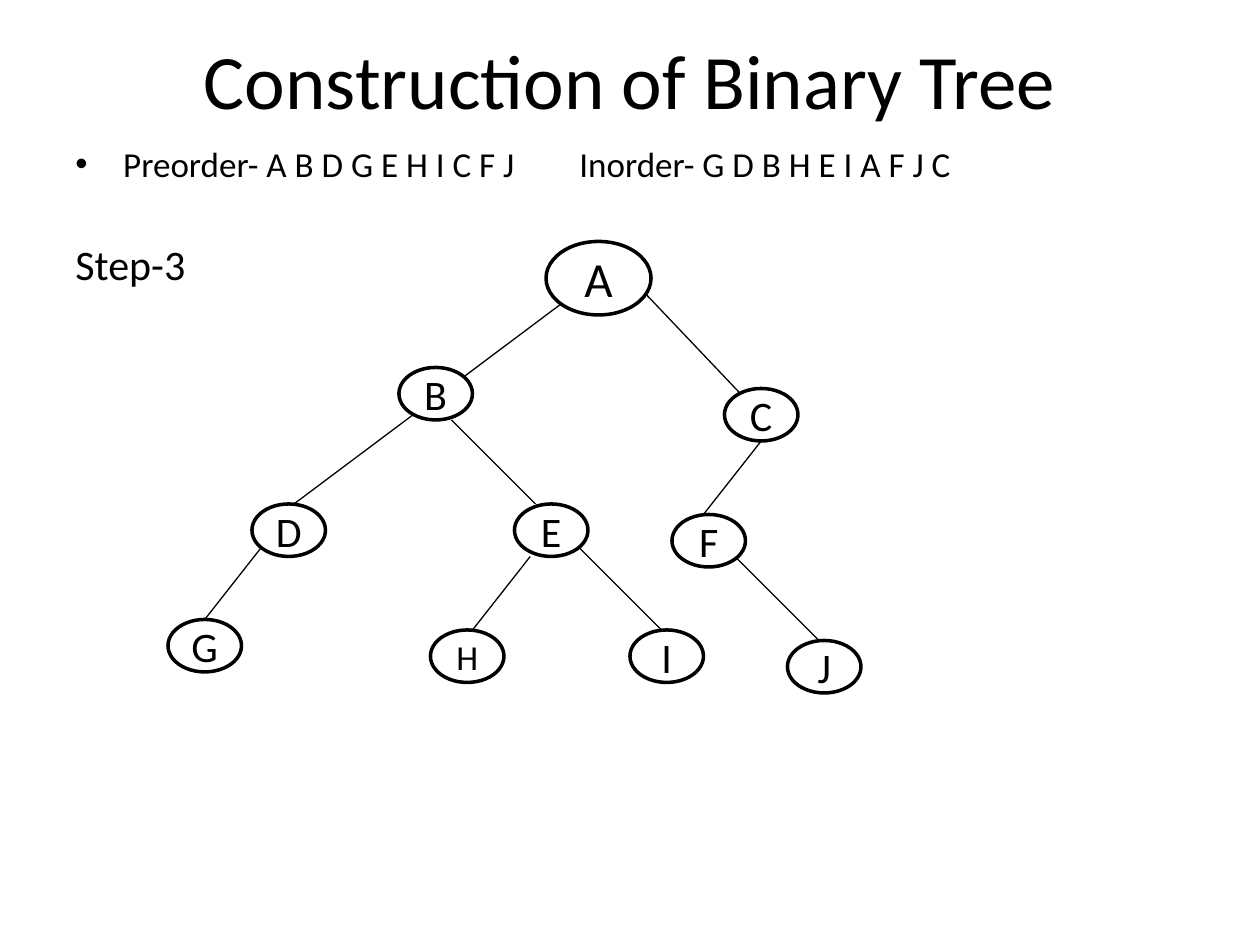
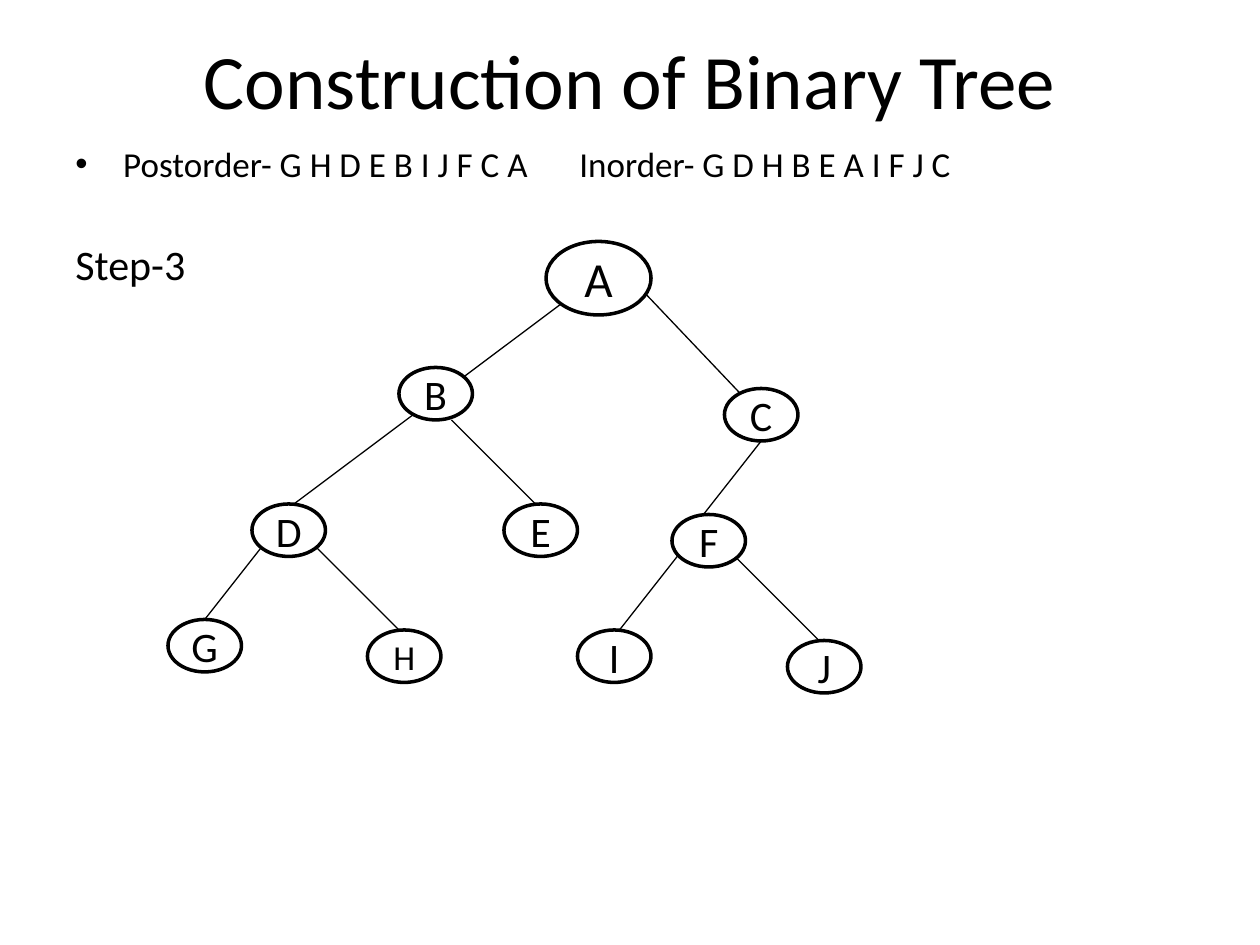
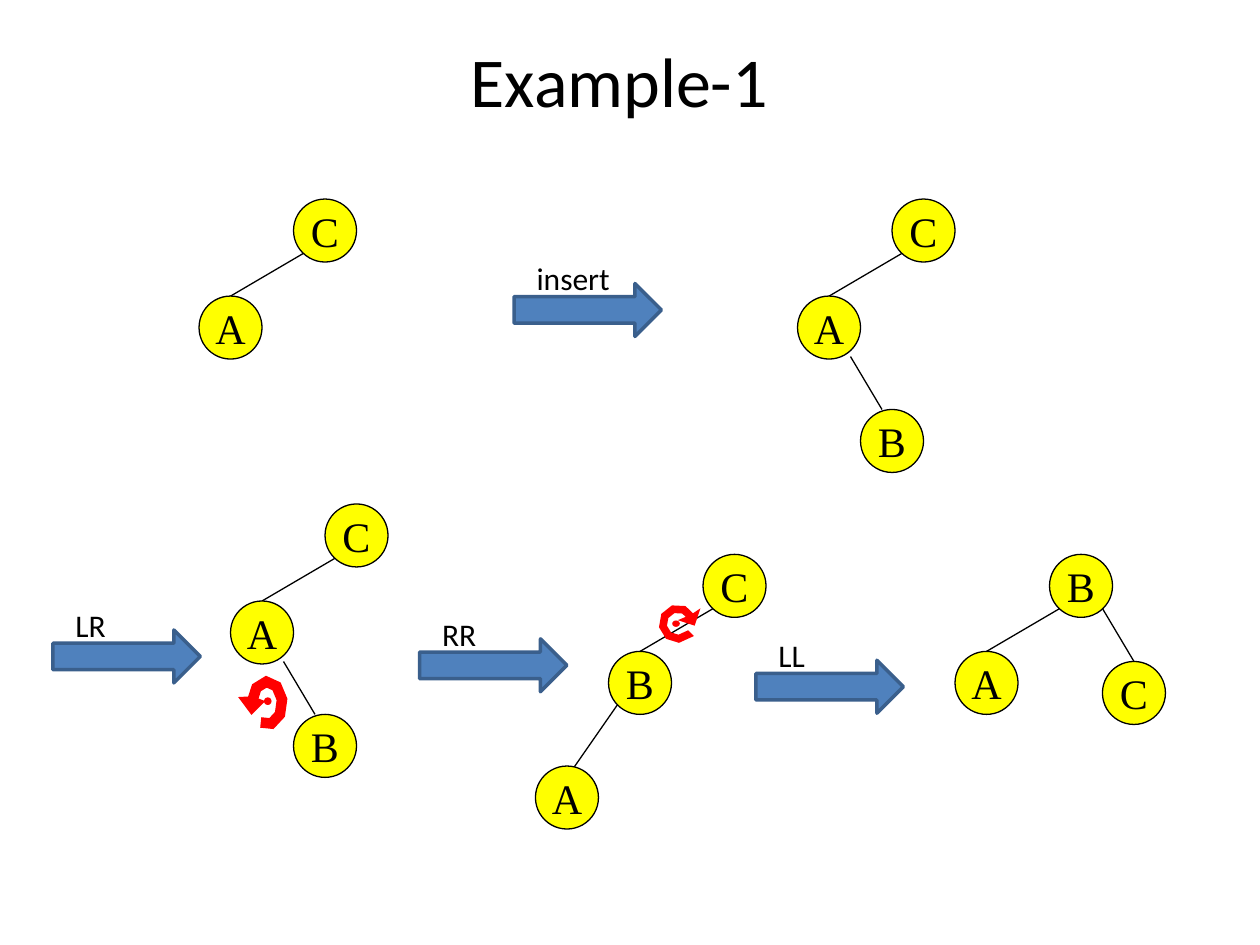
from math import cos, sin, radians
from lxml.etree import SubElement
from pptx import Presentation
from pptx.dml.color import RGBColor
from pptx.enum.shapes import MSO_CONNECTOR as Link, MSO_SHAPE as Form
from pptx.enum.text import MSO_ANCHOR as Anchor, MSO_AUTO_SIZE as Auto, PP_ALIGN as Align
from pptx.oxml.ns import qn
from pptx.util import Inches, Pt

# Shared style
BLACK, WHITE, YELLOW, RED = "000000", "FFFFFF", "FFFF00", "FF0000"
BLUE, NAVY = "4F81BD", "3A5F8C"
SANS, SERIF = "Calibri", "Times New Roman"
UNIT = 1 / 12  # grid step of the large trees, in inches

# Large trees: letter -> (column, row), and lines between grid points
NODES = {"A": (36, 0), "B": (22, 12), "C": (53, 14), "D": (8, 25),
         "F": (48, 26), "G": (0, 36), "J": (59, 38)}
EDGES = [(37.5, 5.9, 12, 25), (45.5, 5, 55, 15), (27, 17, 35, 25),
         (56.5, 19, 51, 26), (9, 29, 3.5, 36), (54, 30, 62, 38)]

# Small trees: offsets from the parent of the child, line start and line end
STEPS = {"left": ((-0.75, 0.77), (0.08, 0.43), (-0.5, 0.77)),
         "steep": ((-0.58, 0.91), (0.08, 0.41), (-0.33, 1)),
         "right": ((0.5, 0.9), (0.42, 0.48), (0.67, 0.9)),
         "near": ((0.42, 0.85), (0.42, 0.43), (0.67, 0.85))}


def color(code):
    return RGBColor.from_string(code)


def place(box):
    return [Inches(n) for n in box]


def paint(shape, fill, line, width):
    shape.shadow.inherit = False
    if fill:
        shape.fill.solid()
        shape.fill.fore_color.rgb = color(fill)
    else:
        shape.fill.background()
    shape.line.color.rgb = color(line)
    shape.line.width = Pt(width)


def write(shape, text, size=24, font=SANS, align=Align.LEFT,
          anchor=Anchor.TOP, wrap=False, grow=False, bullet=False):
    frame = shape.text_frame
    frame.word_wrap = wrap
    frame.vertical_anchor = anchor
    frame.auto_size = Auto.SHAPE_TO_FIT_TEXT if grow else Auto.NONE
    para = frame.paragraphs[0]
    para.alignment = align
    if bullet:
        props = para._p.get_or_add_pPr()
        props.set("marL", str(Inches(0.38)))
        props.set("indent", str(-Inches(0.38)))
        SubElement(props, qn("a:buFont")).set("typeface", "Arial")
        SubElement(props, qn("a:buChar")).set("char", "•")
    run = para.add_run()
    run.text = text
    run.font.size = Pt(size)
    run.font.name = font
    run.font.color.rgb = color(BLACK)


def label(slide, box, text, **style):
    write(slide.shapes.add_textbox(*place(box)), text, **style)


def join(slide, x1, y1, x2, y2):
    line = slide.shapes.add_connector(Link.STRAIGHT, *place((x1, y1, x2, y2)))
    line.line.color.rgb = color(BLACK)
    line.line.width = Pt(0.75)
    SubElement(line._element.spPr, qn("a:effectLst"))


def node(slide, box, text, fill, width, **style):
    oval = slide.shapes.add_shape(Form.OVAL, *place(box))
    paint(oval, fill, BLACK, width)
    write(oval, text, align=Align.CENTER, anchor=Anchor.MIDDLE, **style)


def start(deck, text, box, size):
    slide = deck.slides.add_slide(deck.slide_layouts[5])
    title = slide.shapes.title
    title.left, title.top, title.width, title.height = place(box)
    write(title, text, size=size, align=Align.CENTER,
          anchor=Anchor.MIDDLE, wrap=True)
    return slide


# Large tree on a grid that starts at left, top
def grow_tree(slide, left, top, nodes, edges):
    for x1, y1, x2, y2 in edges:
        join(slide, left + x1 * UNIT, top + y1 * UNIT,
             left + x2 * UNIT, top + y2 * UNIT)
    for text, (col, row) in nodes.items():
        root = text == "A"
        wide, high = (10, 7) if root else (7, 5)
        box = (left + col * UNIT, top + row * UNIT, wide * UNIT, high * UNIT)
        node(slide, box, text, None if root else WHITE, 2,
             size={"A": 28, "H": 20}.get(text, 24))


def build_slide(deck, orders, nodes, edges):
    slide = start(deck, "Construction of Binary Tree", (0.5, 0, 9, 1.25), 44)
    label(slide, (0.5, 1.08, 9, 0.58), orders, size=20, wrap=True, bullet=True)
    label(slide, (0.5, 1.84, 1.08, 0.5), "Step-3", grow=True)
    grow_tree(slide, 16 * UNIT, 23 * UNIT, NODES | nodes, EDGES + edges)


# Small tree whose root sits at left, top
def small_tree(slide, left, top, root, kids):
    spots = {root: (left, top)}
    for parent, kid, step in kids:
        x, y = spots[parent]
        (dx, dy), (x1, y1), (x2, y2) = STEPS[step]
        spots[kid] = (x + dx, y + dy)
        join(slide, x + x1, y + y1, x + x2, y + y2)
    for text, (x, y) in spots.items():
        node(slide, (x, y, 0.5, 0.5), text, YELLOW, 0.75, font=SERIF)


# Block arrow with its caption
def move(slide, left, top, text, width):
    arrow = slide.shapes.add_shape(Form.RIGHT_ARROW,
                                   *place((left, top, 1.17, 0.42)))
    paint(arrow, BLUE, NAVY, 2)
    label(slide, (left + 0.08, top - 0.24, width, 0.4), text, size=18, grow=True)


def arc(x, y, rx, ry, first, last, count=7):
    angles = [radians(first + (last - first) * i / count)
              for i in range(count + 1)]
    return [(x + rx * cos(a), y + ry * sin(a)) for a in angles]


# Round arrow about x, y with a dot inside; head holds offsets of its corners
def spin(slide, x, y, rx, ry, thick, first, last, head, width, dot):
    group = slide.shapes.add_group_shape()
    points = (arc(x, y, rx, ry, first, last)
              + [(x + dx, y + dy) for dx, dy in head]
              + arc(x, y, rx - thick, ry - thick, last, first))
    points = [place(p) for p in points]
    pen = group.shapes.build_freeform(*points[0], scale=1.0)
    pen.add_line_segments(points[1:], close=True)
    ring = pen.convert_to_shape()
    paint(ring, RED, RED, width)
    SubElement(ring.line._get_or_add_ln(), qn("a:miter")).set("lim", "800000")
    spot = group.shapes.add_shape(Form.OVAL, *place(dot))
    paint(spot, RED, RED, 0.75)


def turn_slide(deck):
    slide = start(deck, "Example-1", (1.5, 0.25, 6.83, 0.77), 40)
    bent = [("C", "A", "left"), ("A", "B", "right")]
    small_tree(slide, 2.33, 1.58, "C", bent[:1])
    small_tree(slide, 7.08, 1.58, "C", bent)
    small_tree(slide, 2.58, 4, "C", bent)
    small_tree(slide, 5.58, 4.4, "C", [("C", "B", "left"), ("B", "A", "steep")])
    small_tree(slide, 8.33, 4.4, "B", [("B", "A", "left"), ("B", "C", "near")])
    for left, top, text, width in [(4.08, 2.25, "insert", 0.79),
                                   (0.42, 5, "LR", 0.45),
                                   (3.33, 5.07, "RR", 0.48),
                                   (6, 5.24, "LL", 0.42)]:
        move(slide, left, top, text, width)
    spin(slide, 2.12, 5.58, 0.12, 0.17, 0, 475, 184,
         [(-0.15, -0.01), (-0.12, 0.03), (-0.09, 0)], 6, (2.1, 5.54, 0.05, 0.05))
    spin(slide, 5.38, 4.95, 0.13, 0.13, 0.02, 45, 335,
         [(0.14, -0.07), (0.12, -0.01), (0.06, -0.03)], 3,
         (5.34, 4.93, 0.05, 0.04))


def main():
    deck = Presentation()
    deck.slide_width, deck.slide_height = Inches(10), Inches(7.5)
    build_slide(deck, "Preorder- A B D G E H I C F J \tInorder- G D B H E I A F J C",
                {"E": (33, 25), "H": (25, 37), "I": (44, 37)},
                [(39, 29, 47, 37), (34.5, 30, 29, 37)])
    build_slide(deck, "Postorder- G H D E B I J F C A \tInorder- G D H B E A I F J C",
                {"E": (32, 25), "H": (19, 37), "I": (39, 37)},
                [(14, 29, 22, 37), (48.5, 30, 43, 37)])
    turn_slide(deck)
    deck.save("out.pptx")


if __name__ == "__main__":
    main()
